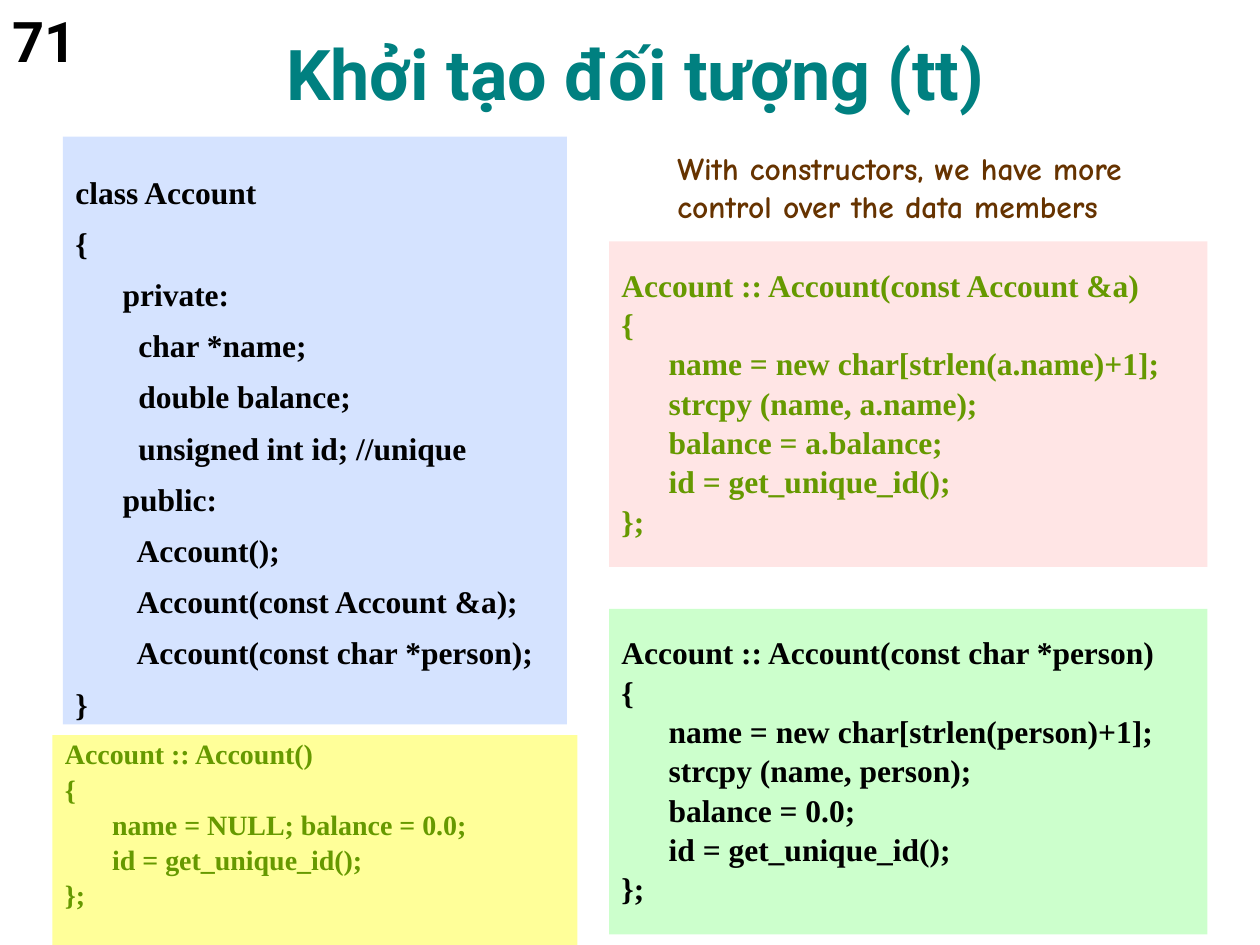
"""Build the slide on copy constructors in the Account class."""
from pptx import Presentation
from pptx.dml.color import RGBColor as RGB
from pptx.enum.shapes import MSO_SHAPE as Kind
from pptx.enum.text import MSO_ANCHOR as Anchor, PP_ALIGN as Align
from pptx.util import Pt

HUES = {
    "teal": "008080", "black": "000000", "brown": "663300", "olive": "669900",
    "blue": "D5E3FF", "yellow": "FFFF99", "pink": "FFE5E5", "green": "CCFFCC",
}
SERIF = "Times New Roman"


def write(frame, text, font=SERIF, size=18, hue="black", align=Align.LEFT,
          anchor=Anchor.TOP, wrap=True, top=3.6, lead=None, gap=0, hang=0):
    frame.word_wrap = wrap
    frame.vertical_anchor = anchor
    frame.margin_left = frame.margin_right = Pt(7.2)
    frame.margin_top, frame.margin_bottom = Pt(top), Pt(3.6)
    for i, line in enumerate(text.split("\n")):
        para = frame.add_paragraph() if i else frame.paragraphs[0]
        para.alignment = align
        para.space_before = Pt(gap if i else 0)
        if lead:
            para.line_spacing = lead
        if hang:
            props = para._p.get_or_add_pPr()
            props.set("marL", str(Pt(hang)))
            props.set("indent", str(-Pt(hang)))
        run = para.add_run()
        run.text = line
        run.font.name, run.font.size, run.font.bold = font, Pt(size), True
        run.font.color.rgb = RGB.from_string(HUES[hue])


deck = Presentation()
deck.slide_width, deck.slide_height = Pt(720), Pt(540)
slide = deck.slides.add_slide(deck.slide_layouts[5])

title = slide.shapes.title
title.left, title.top, title.width, title.height = Pt(24), Pt(12), Pt(678), Pt(57)
write(title.text_frame, "Khởi tạo đối tượng (tt)", font="Roboto", size=40,
      hue="teal", align=Align.CENTER, anchor=Anchor.BOTTOM)

CLASS = """class Account
{
\tprivate:
\t  char *name;
\t  double balance;
\t  unsigned int id; //unique
\tpublic:
\t  Account();
\t  Account(const Account &a);
\t  Account(const char *person);
}"""
EMPTY = """Account :: Account()
{
\tname = NULL; balance = 0.0;
\tid = get_unique_id();
};"""
COPY = """Account :: Account(const Account &a)
{
\tname = new char[strlen(a.name)+1];
\tstrcpy (name, a.name);
\tbalance = a.balance;
\tid = get_unique_id();
};"""
NAMED = """Account :: Account(const char *person)
{
\tname = new char[strlen(person)+1];
\tstrcpy (name, person);
\tbalance = 0.0;
\tid = get_unique_id();
};"""

PANELS = [
    ((36, 78, 288, 336), "blue", CLASS, dict(top=18.5, lead=1.1, gap=5.5)),
    ((30, 420, 300, 120), "yellow", EMPTY,
     dict(top=4.8, lead=0.8, gap=4.7, size=16, hue="olive")),
    ((348, 138, 342, 186), "pink", COPY,
     dict(top=18, lead=0.8, gap=5.2, hue="olive")),
    ((348, 348, 342, 186), "green", NAMED, dict(top=18, lead=0.8, gap=5.2)),
]
for place, fill, code, form in PANELS:
    panel = slide.shapes.add_shape(Kind.RECTANGLE, *map(Pt, place))
    panel.shadow.inherit = False
    panel.fill.solid()
    panel.fill.fore_color.rgb = RGB.from_string(HUES[fill])
    panel.line.fill.background()
    write(panel.text_frame, code, hang=27, **form)

LABELS = [
    ((380, 81.5, 276, 50.5),
     "With constructors, we have more\ncontrol over the data members",
     dict(font="Comic Neue", hue="brown", wrap=False)),
    ((0, 0, 78, 51), "71", dict(font="Roboto", size=32)),
]
for place, text, form in LABELS:
    label = slide.shapes.add_textbox(*map(Pt, place))
    write(label.text_frame, text, **form)

deck.save("out.pptx")
